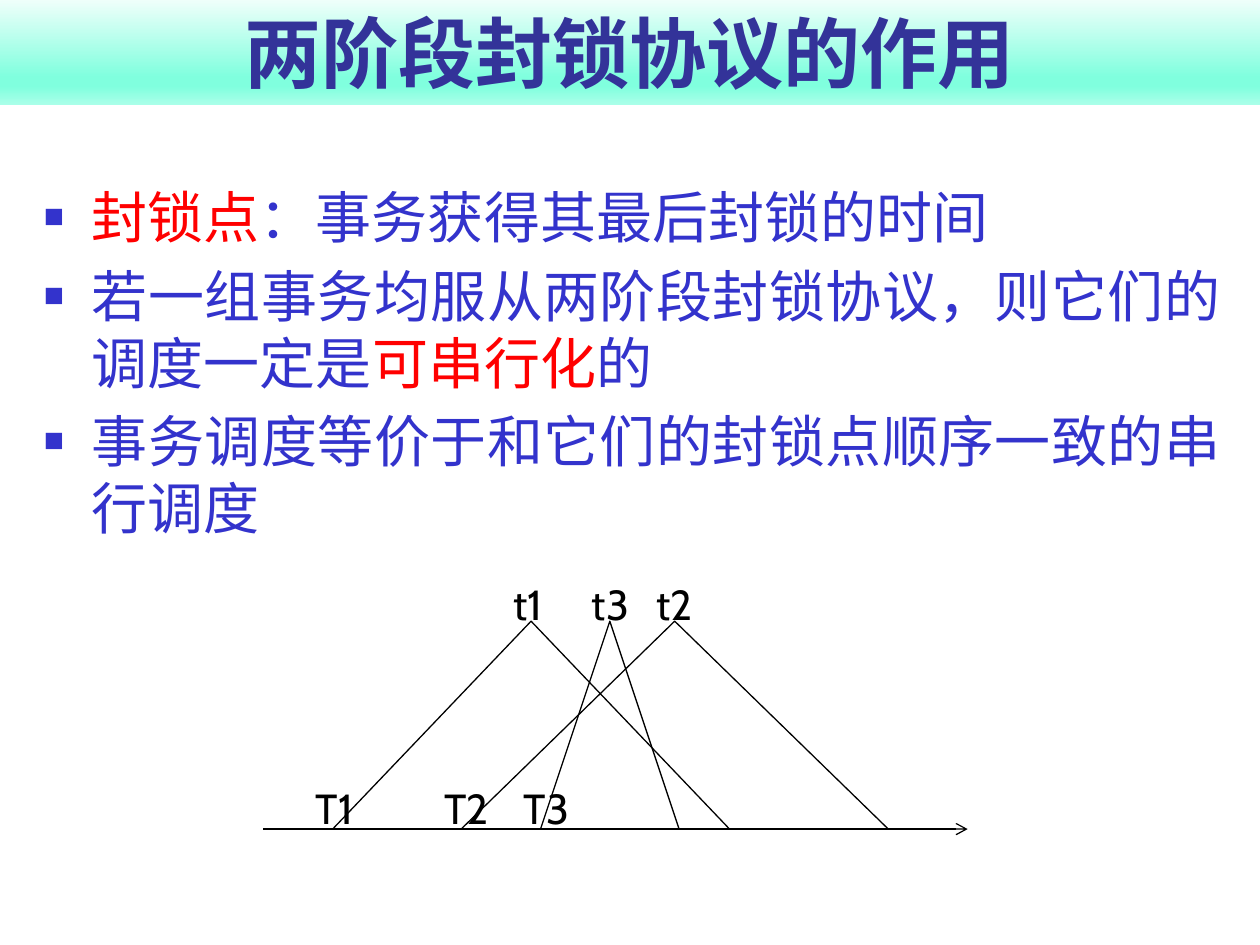
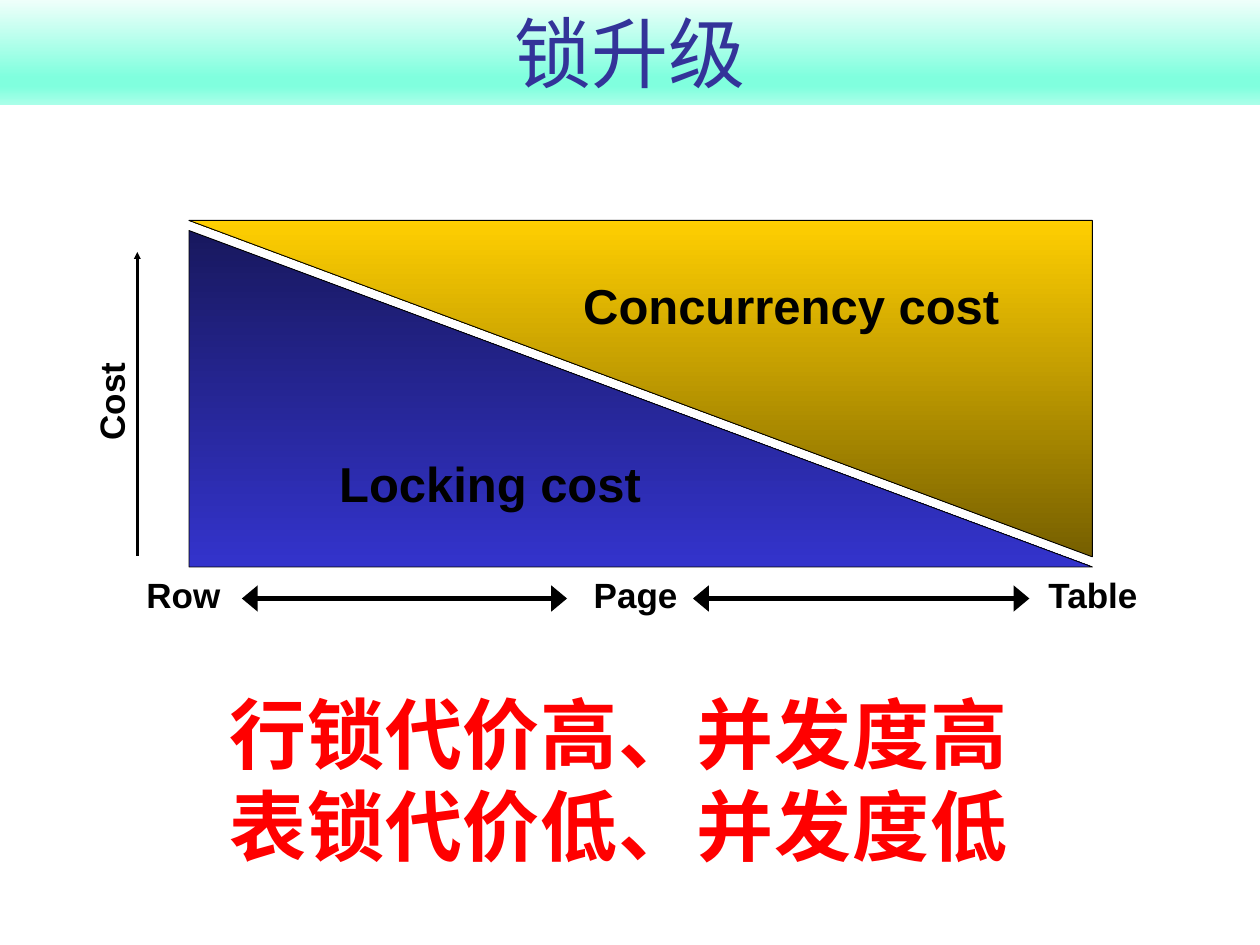
"""Build two slides on two-phase locking and lock escalation."""
from dataclasses import dataclass

from lxml import etree
from pptx import Presentation
from pptx.dml.color import RGBColor
from pptx.enum.shapes import MSO_CONNECTOR, MSO_SHAPE
from pptx.enum.text import MSO_ANCHOR, MSO_AUTO_SIZE, PP_ALIGN
from pptx.oxml.ns import qn
from pptx.util import Inches, Pt

STRAIGHT = MSO_CONNECTOR.STRAIGHT
TRIANGLE = MSO_SHAPE.ISOSCELES_TRIANGLE
RIGHT_TRIANGLE = MSO_SHAPE.RIGHT_TRIANGLE
MIDDLE, BOTTOM = MSO_ANCHOR.MIDDLE, MSO_ANCHOR.BOTTOM
CENTER, JUSTIFY = PP_ALIGN.CENTER, PP_ALIGN.JUSTIFY
NO_FIT = MSO_AUTO_SIZE.NONE


@dataclass(frozen=True)
class Theme:
    """Hold the colours, fonts and type sizes."""
    title: str = "333399"
    body: str = "3333CC"
    accent: str = "FF0000"
    ink: str = "000000"
    band: tuple = ((0, "F1FFFB"), (74, "80FFDE"), (83, "80FFDE"), (100, "AAFFE9"))
    locking: tuple = ((0, "18185E"), (100, "3333CC"))
    concurrency: tuple = ((0, "765F00"), (100, "FFCF01"))
    font: str = "Cabin"
    chart_font: str = "Arial"
    title_size: int = 44
    body_size: int = 32
    cost_size: int = 28
    label_size: int = 24
    axis_size: int = 20


theme = Theme()


def write(para, text, *, size, color=theme.ink, font=theme.font, bold=False, tracking=0):
    """Append formatted text to a paragraph."""
    span = para.add_run()
    span.text = text
    span.font.size = Pt(size)
    span.font.name = font
    span.font.bold = bold
    span.font.color.rgb = RGBColor.from_string(color)
    if tracking:
        span.font._element.set("spc", str(int(tracking * 100)))


def paint_gradient(shape, stops):
    """Fill a shape with a gradient that runs from top to bottom."""
    shape.fill.gradient()
    shape.fill.gradient_angle = 270
    stop_list = shape._element.spPr.find(".//" + qn("a:gsLst"))
    for old_stop in list(stop_list):
        stop_list.remove(old_stop)
    for position, color in stops:
        stop = etree.SubElement(stop_list, qn("a:gs"), pos=str(position * 1000))
        etree.SubElement(stop, qn("a:srgbClr"), val=color)


deck = Presentation()
deck.slide_width, deck.slide_height = Inches(10), Inches(7.5)

pages = []
for heading, bold in (("两阶段封锁协议的作用", True), ("锁升级", False)):
    page = deck.slides.add_slide(deck.slide_layouts[5])
    title = page.shapes.title
    title.left, title.top = Inches(0), Inches(-0.01)
    title.width, title.height = Inches(10), Inches(0.84)
    paint_gradient(title, theme.band)
    title.text_frame.auto_size = NO_FIT
    title.text_frame.vertical_anchor = BOTTOM
    para = title.text_frame.paragraphs[0]
    para.alignment = CENTER
    write(para, heading, size=theme.title_size, color=theme.title, bold=bold)
    pages.append(page)
protocol_page, escalation_page = pages

points = (
    (("封锁点", theme.accent), ("：事务获得其最后封锁的时间", theme.body)),
    (("若一组事务均服从两阶段封锁协议，则它们的调度一定是", theme.body),
     ("可串行化", theme.accent), ("的", theme.body)),
    (("事务调度等价于和它们的封锁点顺序一致的串行调度", theme.body),),
)
box = protocol_page.shapes.add_textbox(Inches(0.25), Inches(0.99), Inches(9.54), Inches(6.26))
frame = box.text_frame
frame.word_wrap = True
frame.margin_top = Inches(0.46)
for number, point in enumerate(points):
    para = frame.add_paragraph() if number else frame.paragraphs[0]
    para.alignment = JUSTIFY
    if number:
        para.space_before = Pt(0.2 * theme.body_size)
    properties = para._p.get_or_add_pPr()
    properties.set("marL", str(Inches(0.38)))
    properties.set("indent", str(Inches(-0.38)))
    bullet_color = etree.SubElement(properties, qn("a:buClr"))
    etree.SubElement(bullet_color, qn("a:srgbClr"), val=theme.body)
    etree.SubElement(properties, qn("a:buSzPct"), val="60000")
    etree.SubElement(properties, qn("a:buFont"), typeface=theme.chart_font)
    etree.SubElement(properties, qn("a:buChar"), char="■")
    for text, color in point:
        write(para, text, size=theme.body_size, color=color)

peak, baseline = 4.93, 6.58
transactions = (("1", 2.64, 3.15), ("2", 3.66, 3.39), ("3", 4.29, 1.1))
for number, left, width in transactions:
    triangle = protocol_page.shapes.add_shape(
        TRIANGLE, Inches(left), Inches(peak), Inches(width), Inches(baseline - peak))
    triangle.shadow.inherit = False
    triangle.fill.background()
    triangle.line.color.rgb = RGBColor.from_string(theme.ink)
    triangle.line.width = Pt(0.75)
    labels = (("T" + number, left - 0.23, 6.16), ("t" + number, left + width / 2 - 0.24, 4.54))
    for text, label_left, label_top in labels:
        box = protocol_page.shapes.add_textbox(
            Inches(label_left), Inches(label_top), Inches(0.87), Inches(0.5))
        box.text_frame.word_wrap = True
        write(box.text_frame.paragraphs[0], text, size=theme.label_size)

costs = (("Locking cost", 1.83, theme.locking, False),
         ("Concurrency cost", 1.75, theme.concurrency, True))
for text, top, stops, flipped in costs:
    wedge = escalation_page.shapes.add_shape(
        RIGHT_TRIANGLE, Inches(1.5), Inches(top), Inches(7.17), Inches(2.67))
    wedge.shadow.inherit = False
    paint_gradient(wedge, stops)
    wedge.line.color.rgb = RGBColor.from_string(theme.ink)
    wedge.line.width = Pt(0.5)
    frame = wedge.text_frame
    frame.word_wrap = False
    frame.vertical_anchor = MIDDLE
    if flipped:
        transform = wedge._element.spPr.find(qn("a:xfrm"))
        transform.set("flipH", "1")
        transform.set("flipV", "1")
        frame._txBody.find(qn("a:bodyPr")).set("rot", str(180 * 60000))
    para = frame.paragraphs[0]
    para.alignment = CENTER
    write(para, text, size=theme.cost_size, font=theme.chart_font, bold=True)

axis_labels = (("Row", 1.06, 4.5, 0.79, 0), ("Page", 4.61, 4.5, 0.87, 0),
               ("Table", 8.21, 4.5, 0.93, 0), ("Cost", 0.47, 2.97, 0.82, 270))
for text, left, top, width, turn in axis_labels:
    box = escalation_page.shapes.add_textbox(
        Inches(left), Inches(top), Inches(width), Inches(0.43))
    box.rotation = turn
    box.text_frame.word_wrap = False
    box.text_frame.vertical_anchor = MIDDLE
    para = box.text_frame.paragraphs[0]
    para.alignment = CENTER
    write(para, text, size=theme.axis_size, font=theme.chart_font, bold=True)

both_ends, far_end = ("headEnd", "tailEnd"), ("tailEnd",)
arrows = (
    (protocol_page, (2.09, baseline, 7.68, baseline), 0.75, far_end, "arrow", "med", "med"),
    (escalation_page, (1.92, 4.75, 4.5, 4.75), 3, both_ends, "triangle", "lg", "med"),
    (escalation_page, (5.5, 4.75, 8.17, 4.75), 3, both_ends, "triangle", "lg", "med"),
    (escalation_page, (1.09, 4.41, 1.09, 2), 2, far_end, "triangle", "sm", "sm"),
)
for page, ends, weight, tips, tip_type, tip_width, tip_length in arrows:
    arrow = page.shapes.add_connector(STRAIGHT, *(Inches(value) for value in ends))
    arrow.line.color.rgb = RGBColor.from_string(theme.ink)
    arrow.line.width = Pt(weight)
    outline = arrow.line._get_or_add_ln()
    for tip in tips:
        etree.SubElement(outline, qn("a:" + tip), type=tip_type, w=tip_width, len=tip_length)
    etree.SubElement(arrow._element.spPr, qn("a:effectLst"))

box = escalation_page.shapes.add_textbox(Inches(1.69), Inches(5.4), Inches(6.44), Inches(1.58))
frame = box.text_frame
frame.word_wrap = False
for number, text in enumerate(("行锁代价高、并发度高", "表锁代价低、并发度低")):
    para = frame.add_paragraph() if number else frame.paragraphs[0]
    para.alignment = CENTER
    write(para, text, size=theme.title_size, color=theme.accent, bold=True, tracking=0.5)

deck.save("out.pptx")
